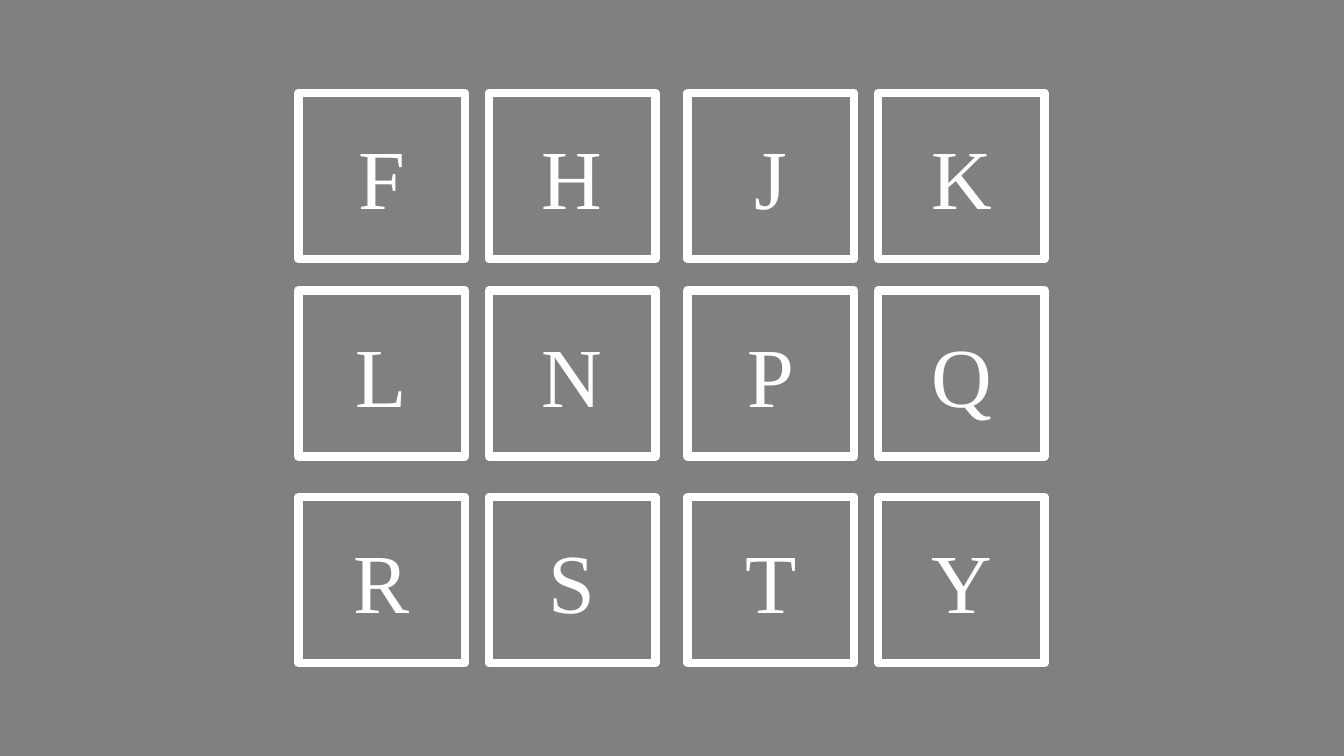
from pptx import Presentation
from pptx.dml.color import RGBColor
from pptx.enum.shapes import MSO_SHAPE
from pptx.enum.text import MSO_ANCHOR, PP_ALIGN
from pptx.util import Inches, Pt

COLORS = {"background": "808080", "chalk": "FFFFFF"}
FONT = "Times New Roman"
LETTER_ROWS = ["FHJK", "LNPQ", "RSTY"]

# Grid in inches: the columns form two pairs, the rows have their own tops
TILE_SIZE = 1.65
GRID_LEFT = 2.96
COLUMN_PITCH = 1.89
PAIR_PITCH = 3.86
ROW_TOPS = [0.92, 2.88, 4.93]


def color(name):
    return RGBColor.from_string(COLORS[name])


def column_left(column):
    pair, side = divmod(column, 2)
    return GRID_LEFT + pair * PAIR_PITCH + side * COLUMN_PITCH


def paint_background(slide):
    fill = slide.background.fill
    fill.solid()
    fill.fore_color.rgb = color("background")


def add_letter_tile(slide, letter, left, top):
    tile = slide.shapes.add_shape(
        MSO_SHAPE.RECTANGLE, Inches(left), Inches(top),
        Inches(TILE_SIZE), Inches(TILE_SIZE))
    tile.shadow.inherit = False
    tile.fill.solid()
    tile.fill.fore_color.rgb = color("background")
    tile.line.color.rgb = color("chalk")
    tile.line.width = Pt(6)

    # Letter
    frame = tile.text_frame
    frame.vertical_anchor = MSO_ANCHOR.MIDDLE
    para = frame.paragraphs[0]
    para.text = letter
    para.alignment = PP_ALIGN.CENTER
    para.font.name = FONT
    para.font.size = Pt(60)
    para.font.color.rgb = color("chalk")


def main():
    deck = Presentation()
    deck.slide_width = Inches(13.33)
    deck.slide_height = Inches(7.5)
    slide = deck.slides.add_slide(deck.slide_layouts.get_by_name("Blank"))
    paint_background(slide)

    # Letter grid
    for letters, top in zip(LETTER_ROWS, ROW_TOPS):
        for column, letter in enumerate(letters):
            add_letter_tile(slide, letter, column_left(column), top)

    deck.save("out.pptx")


main()
